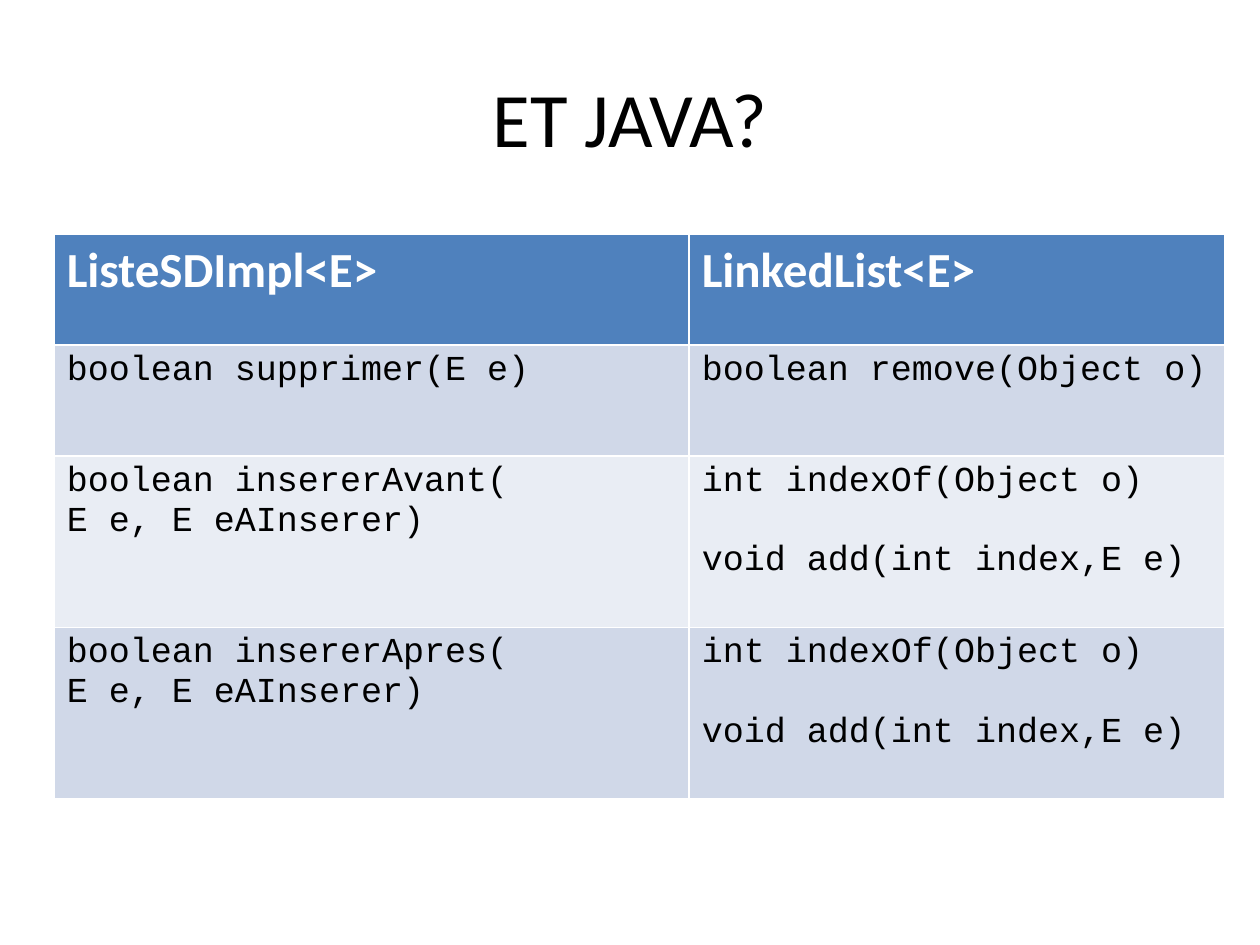
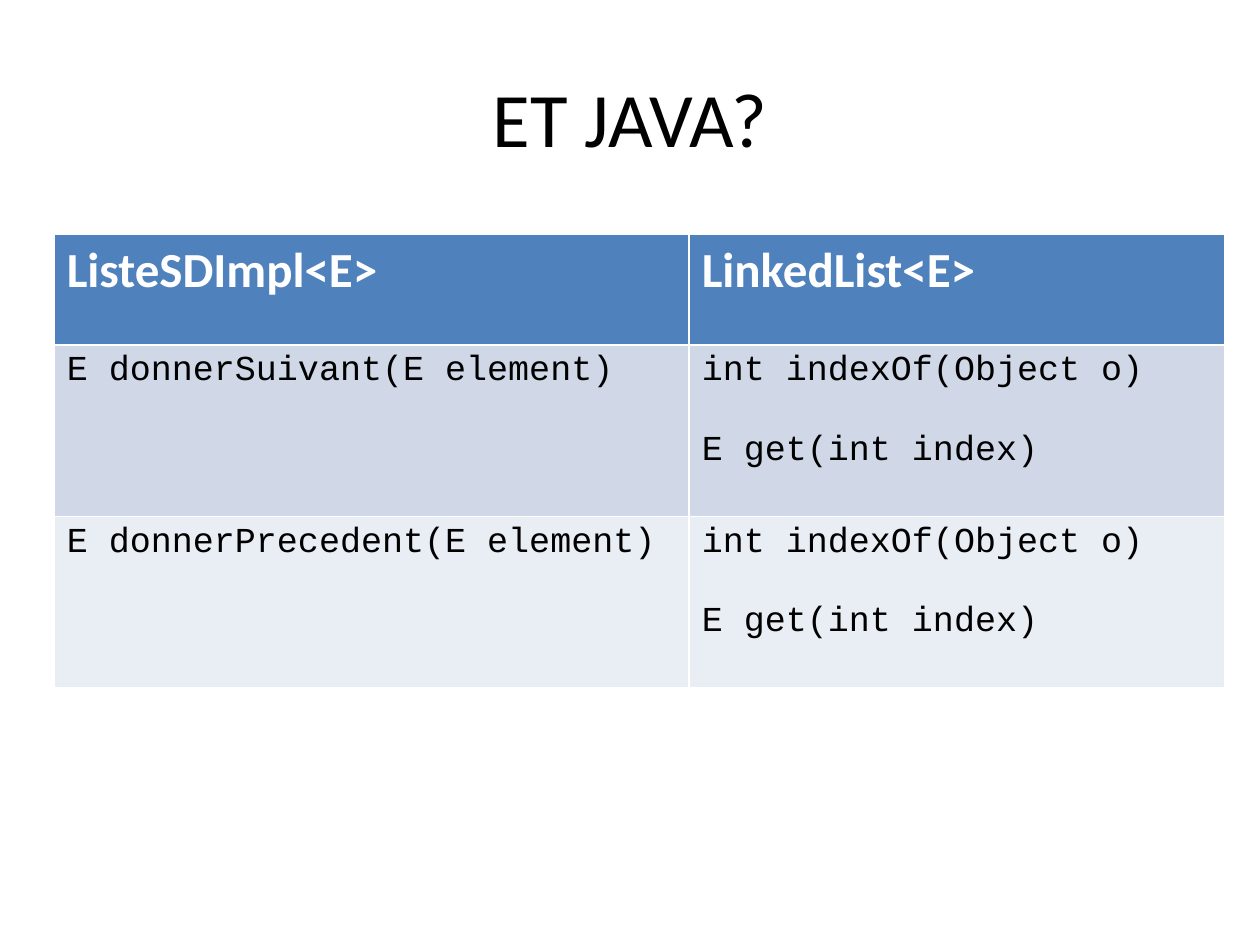
"""Build two slides comparing ListeSDImpl with the Java LinkedList class."""
import pptx
import pptx.dml.color
import pptx.enum.text
import pptx.util

Inches = pptx.util.Inches
Pt = pptx.util.Pt

COLOURS = {
    "title": "000000",
    "header": "4F81BD",
    "header_text": "FFFFFF",
    "band_dark": "D0D8E8",
    "band_light": "E9EDF4",
    "code": "000000",
}
TITLE_FONT = {"name": "Calibri", "size": Pt(44), "bold": False}
HEADER_FONT = {"name": "Calibri", "size": Pt(28), "bold": True}
CODE_FONT = {"name": "Courier New", "size": Pt(20), "bold": False}

TITLE = "ET JAVA?"
TITLE_BOX = {"left": Inches(0.5), "top": Inches(0.3), "width": Inches(9), "height": Inches(1.25)}
HEADERS = (["ListeSDImpl<E>"], ["LinkedList<E>"])
COLUMN_WIDTHS = (5.04, 4.25)
SHORT_ROW, TALL_ROW = 0.88, 1.36
CALL_GAP = Pt(22.7)

ADD_CALLS = ["int indexOf(Object o)", "void add(int index,E e)"]
GET_CALLS = ["int indexOf(Object o)", "E get(int index)"]
METHOD_TABLES = [
    [
        (["boolean supprimer(E e)"], ["boolean remove(Object o)"]),
        (["boolean insererAvant(", "E e, E eAInserer)"], ADD_CALLS),
        (["boolean insererApres(", "E e, E eAInserer)"], ADD_CALLS),
    ],
    [
        (["E donnerSuivant(E element)"], GET_CALLS),
        (["E donnerPrecedent(E element)"], GET_CALLS),
    ],
]


def rgb(name):
    return pptx.dml.color.RGBColor.from_string(COLOURS[name])


def write_lines(text_frame, lines, font_format, colour, gap=Pt(0)):
    for index, line in enumerate(lines):
        paragraph = text_frame.paragraphs[0] if index == 0 else text_frame.add_paragraph()
        if index:
            paragraph.space_before = gap
        run = paragraph.add_run()
        run.text = line
        for attribute, value in font_format.items():
            setattr(run.font, attribute, value)
        run.font.color.rgb = rgb(colour)


presentation = pptx.Presentation()
presentation.slide_width = Inches(10)
presentation.slide_height = Inches(7.5)
title_only = presentation.slide_layouts.get_by_name("Title Only")

for methods in METHOD_TABLES:
    slide = presentation.slides.add_slide(title_only)
    title = slide.shapes.title
    for attribute, value in TITLE_BOX.items():
        setattr(title, attribute, value)
    write_lines(title.text_frame, [TITLE], TITLE_FONT, "title")
    title.text_frame.vertical_anchor = pptx.enum.text.MSO_ANCHOR.MIDDLE
    title.text_frame.paragraphs[0].alignment = pptx.enum.text.PP_ALIGN.CENTER

    rows = [HEADERS, *methods]
    heights = [TALL_ROW if len(row[1]) > 1 else SHORT_ROW for row in rows]
    table = slide.shapes.add_table(
        len(rows), len(COLUMN_WIDTHS), Inches(0.43), Inches(1.86),
        Inches(sum(COLUMN_WIDTHS)), Inches(sum(heights)),
    ).table
    for column, width in zip(table.columns, COLUMN_WIDTHS):
        column.width = Inches(width)

    for row_index, row in enumerate(rows):
        table.rows[row_index].height = Inches(heights[row_index])
        if row_index == 0:
            fill, font_format, colour = "header", HEADER_FONT, "header_text"
        else:
            fill = "band_dark" if row_index % 2 else "band_light"
            font_format, colour = CODE_FONT, "code"
        for column_index, lines in enumerate(row):
            cell = table.cell(row_index, column_index)
            cell.fill.solid()
            cell.fill.fore_color.rgb = rgb(fill)
            gap = CALL_GAP if column_index == 1 else Pt(0)
            write_lines(cell.text_frame, lines, font_format, colour, gap)

presentation.save("out.pptx")
